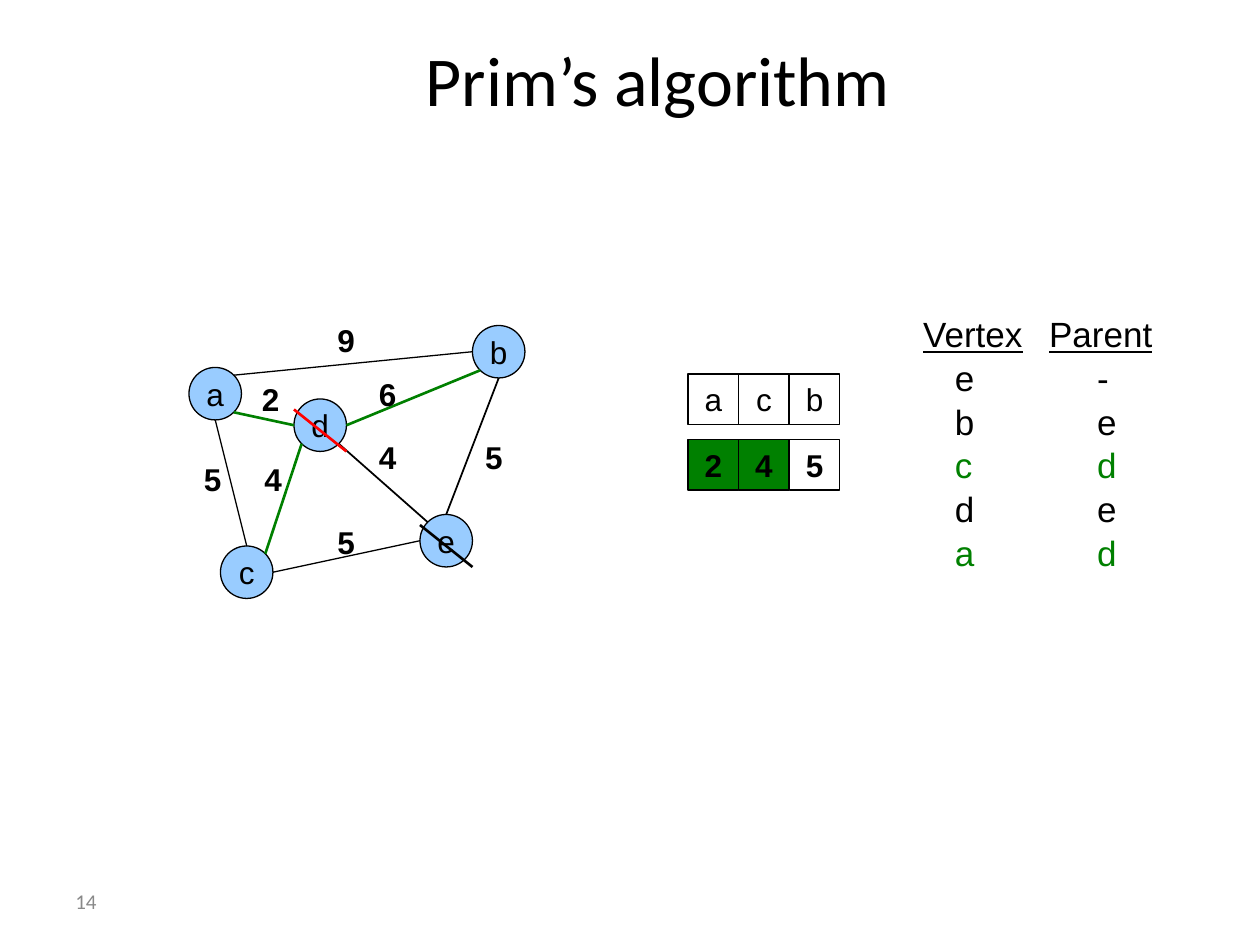
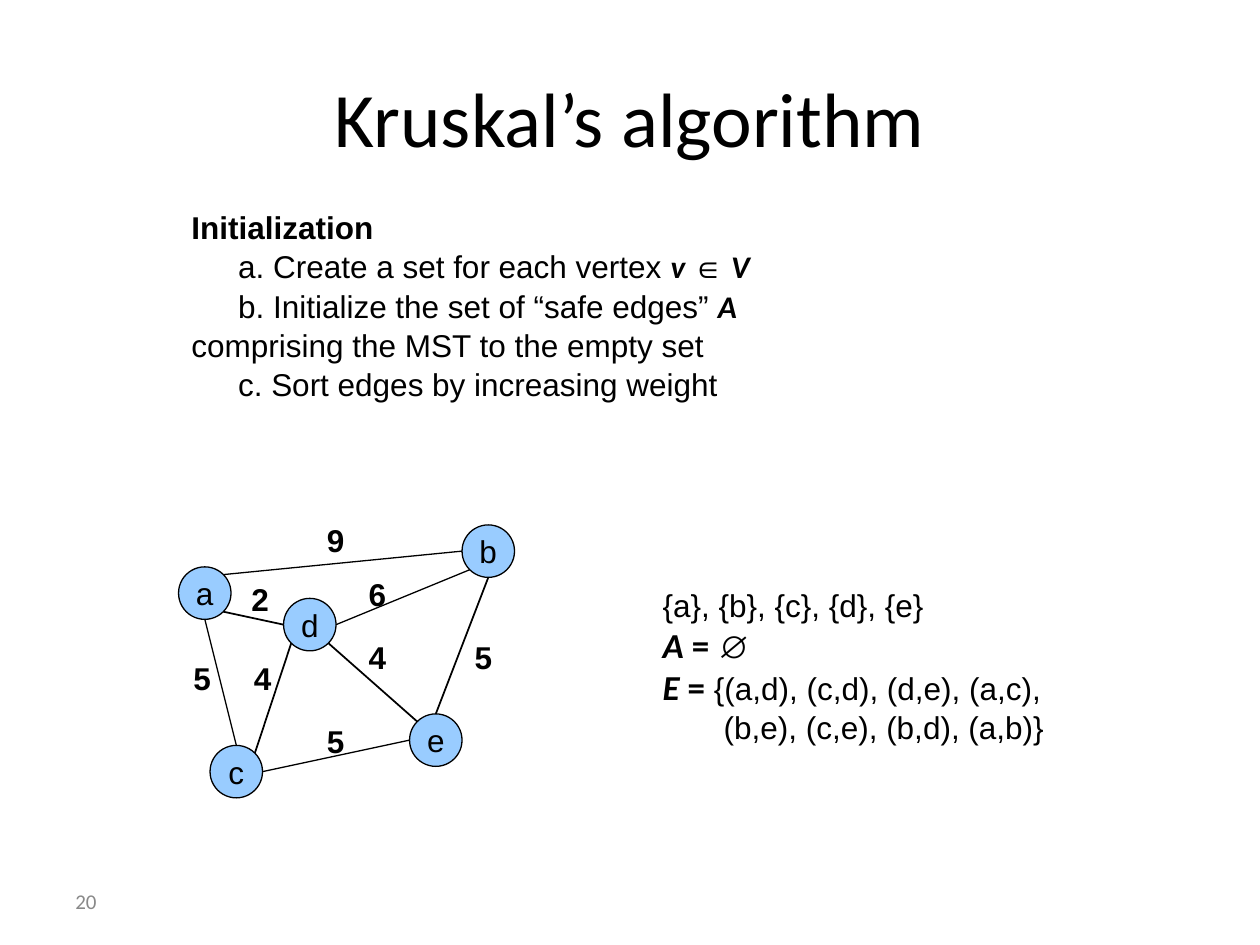
from math import cos, radians, sin

from lxml.etree import SubElement
from pptx import Presentation
from pptx.dml.color import RGBColor
from pptx.enum.shapes import MSO_CONNECTOR, MSO_SHAPE
from pptx.enum.text import MSO_ANCHOR, PP_ALIGN
from pptx.oxml.ns import qn
from pptx.util import Cm, Pt

HUES = {"ink": "000000", "node": "99CCFF", "pick": "008000",
        "cut": "FF0000", "page": "898989"}
UNIT = 2.54 / 12  # grid step of the graph, in cm
SIZE = 5 * UNIT
CELL = 1.02

# Top left corner of each vertex, in grid steps
NODES = {"a": (0, 5), "c": (3, 22), "e": (22, 19), "d": (10, 8), "b": (27, 1)}
# Vertex and angle (clockwise from the right) at both ends, line width
EDGES = [
    ("a", -45, "b", 180, 0.75),
    ("d", 0, "b", 135, 0.75),
    ("a", 90, "c", -90, 0.75),
    ("a", 45, "d", 180, 1),
    ("c", -45, "d", 135, 1),
    ("d", 45, "e", -135, 1),
    ("b", 90, "e", -90, 1),
    ("e", 180, "c", 0, 0.75),
]
# Weight and place in cm from the corner of the graph
COSTS = [
    ("2", 1.22, 1.19), ("4", 1.27, 2.79), ("5", 0.05, 2.79), ("9", 2.74, 0),
    ("6", 3.58, 1.09), ("4", 3.58, 2.36), ("5", 2.74, 4.06), ("5", 5.72, 2.36),
]
BOLD = {"bold": True}
MATH = {"font": "Calibri", "bold": True, "italic": True}


def color(name):
    return RGBColor.from_string(HUES[name])


class Deck:
    def __init__(self):
        self.file = Presentation()
        self.file.slide_width, self.file.slide_height = Cm(25.4), Cm(19.05)

    def start(self, title, box, size, page):
        slide = self.file.slides.add_slide(self.file.slide_layouts[5])
        self.shapes = slide.shapes
        head = slide.shapes.title
        head.left, head.top, head.width, head.height = map(Cm, box)
        head.text_frame.vertical_anchor = MSO_ANCHOR.MIDDLE
        line = head.text_frame.paragraphs[0]
        line.alignment = PP_ALIGN.CENTER
        self.run(line, title, font="Calibri", size=size)
        self.text((1.27, 17.65, 5.92, 1.02),
                  [[(page, {"font": "Calibri", "size": 12, "hue": "page"})]],
                  wrap=True, anchor=MSO_ANCHOR.MIDDLE)

    def run(self, line, text, font="Arial", size=18, hue="ink",
            bold=False, italic=False, under=False):
        run = line.add_run()
        run.text = text
        face = run.font
        face.name, face.size, face.bold = font, Pt(size), bold
        face.italic, face.underline = italic, under
        face.color.rgb = color(hue)

    def fill(self, frame, lines, align=PP_ALIGN.LEFT, space=None):
        """Write lines, each a list of (text, style) runs; None breaks a line."""
        for i, runs in enumerate(lines):
            line = frame.add_paragraph() if i else frame.paragraphs[0]
            line.alignment = align
            line.line_spacing = space
            for part in runs:
                if part is None:
                    line.add_line_break()
                else:
                    self.run(line, part[0], **part[1])

    def text(self, box, lines, wrap=False, anchor=MSO_ANCHOR.TOP, space=None):
        frame = self.shapes.add_textbox(*map(Cm, box)).text_frame
        frame.word_wrap, frame.vertical_anchor = wrap, anchor
        self.fill(frame, lines, space=space)
        return frame.paragraphs

    def shape(self, kind, box, text, hue=None, wrap=False, **style):
        item = self.shapes.add_shape(kind, *map(Cm, box))
        item.shadow.inherit = False
        if hue:
            item.fill.solid()
            item.fill.fore_color.rgb = color(hue)
        else:
            item.fill.background()
        item.line.color.rgb, item.line.width = color("ink"), Pt(0.75)
        frame = item.text_frame
        frame.word_wrap, frame.vertical_anchor = wrap, MSO_ANCHOR.MIDDLE
        self.fill(frame, [[(text, style)]], PP_ALIGN.CENTER)

    def line(self, start, end, hue="ink", width=0.75):
        item = self.shapes.add_connector(
            MSO_CONNECTOR.STRAIGHT, *map(Cm, (*start, *end)))
        item.line.color.rgb, item.line.width = color(hue), Pt(width)
        SubElement(item._element.spPr, qn("a:effectLst"))

    def graph(self, left, top, picks=(), cuts=()):
        """Draw the graph, with green edges (picks) and struck vertices (cuts)."""
        page, self.shapes = self.shapes, self.shapes.add_group_shape().shapes
        spots = {n: (left + x * UNIT, top + y * UNIT)
                 for n, (x, y) in NODES.items()}

        def rim(name, angle):
            x, y = spots[name]
            turn = radians(angle)
            return (x + SIZE / 2 * (1 + cos(turn)),
                    y + SIZE / 2 * (1 + sin(turn)))

        for name, (x, y) in spots.items():
            self.shape(MSO_SHAPE.OVAL, (x, y, SIZE, SIZE), name, "node")
        for one, out, two, into, width in EDGES:
            look = ("pick", 1.5) if one + two in picks else ("ink", width)
            self.line(rim(one, out), rim(two, into), *look)
        for cost, x, y in COSTS:
            self.text((left + x, top + y, 0.86, 1.02), [[(cost, BOLD)]])
        self.shapes = page
        for name, hue in cuts:
            x, y = spots[name]
            self.line((x, y + UNIT), (x + SIZE, y + SIZE), hue, 1.5)

    def cells(self, left, top, items):
        for i, (text, style) in enumerate(items):
            self.shape(MSO_SHAPE.RECTANGLE,
                       (left + i * CELL, top, CELL, CELL), text,
                       wrap=True, **style)


def indent(line, first=0, left=0):
    props = line._p.get_or_add_pPr()
    props.set("marL", str(Cm(left)))
    props.set("indent", str(Cm(first)))


def tabs(line, stops):
    """Set the left tab stops of a paragraph, in cm."""
    group = SubElement(line._p.get_or_add_pPr(), qn("a:tabLst"))
    for stop in stops:
        SubElement(group, qn("a:tab"), pos=str(Cm(stop)), algn="l")


def prim(deck):
    deck.start("Prim’s algorithm", (1.12, 0.64, 24.28, 1.9), 40, "14")
    deck.graph(3.81, 6.35, ("db", "ad", "cd"), (("e", "ink"), ("d", "cut")))
    green = {"bold": True, "hue": "pick"}
    deck.cells(13.87, 7.54, [(name, {}) for name in "acb"])
    deck.cells(13.87, 8.86, [("2", green), ("4", green), ("5", BOLD)])
    rows = [[("Vertex\tParent", {"size": 20, "under": True})]]
    for name, parent in ("e-", "be", "cd", "de", "ad"):
        hue = "pick" if name in "ca" else "ink"
        rows.append([(f"\t{name}\t\t{parent}", {"size": 20, "hue": hue})])
    for line in deck.text((18.36, 6.15, 5.13, 5.33), rows, space=1.04):
        tabs(line, (0.64, 2.54, 3.51))


def kruskal(deck):
    deck.start("Kruskal’s algorithm", (1.27, 0.76, 22.86, 3.18), 44, "20")
    steps = deck.text((3.61, 4.04, 18.21, 4.06), [
        [("Initialization", BOLD)],
        [("a. Create a set for each vertex ", {}), ("v ", MATH),
         ("∈", BOLD), (" V", MATH)],
        [("b. Initialize the set of “safe edges” ", {}), ("A", MATH), None,
         ("comprising the MST to the empty set", {})],
        [("c. Sort edges by increasing weight", {})],
    ], wrap=True, space=1.04)
    for line in steps[1:]:
        indent(line, first=0.94)
    deck.graph(3.6, 10.37)
    name = {**MATH, "size": 20}
    sign = {**name, "italic": False}
    sets = deck.text((13.11, 11.68, 8.31, 3.48), [
        [("{a}, {b}, {c}, {d}, {e}", {})],
        [("A ", name), ("=", sign), (" ∅", {})],
        [("E ", name), ("=", sign), (" {(a,d), (c,d), (d,e), (a,c),", {})],
        [("(b,e), (c,e), (b,d), (a,b)}", {})],
    ], anchor=MSO_ANCHOR.MIDDLE)
    indent(sets[-1], left=1.23)


def main():
    deck = Deck()
    prim(deck)
    kruskal(deck)
    deck.file.save("out.pptx")


if __name__ == "__main__":
    main()
